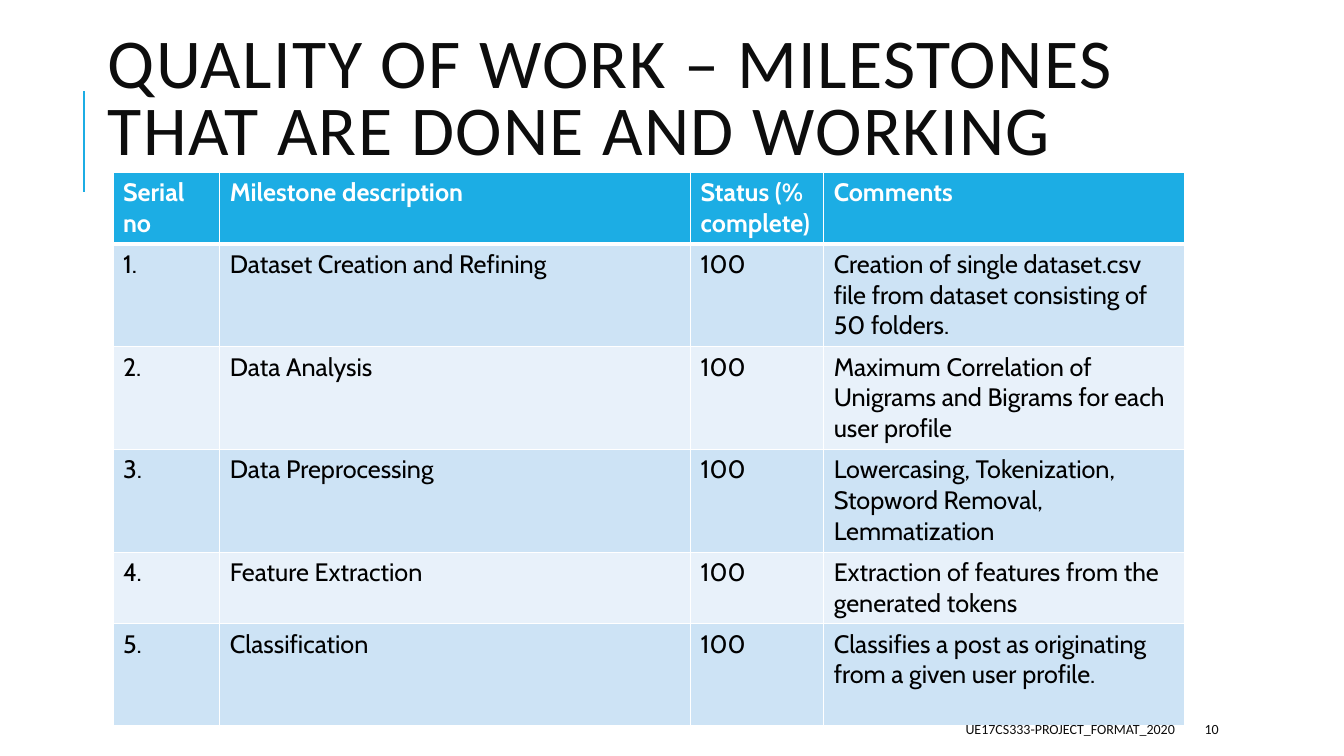
from lxml import etree
from pptx import Presentation
from pptx import util as u
from pptx.dml.color import RGBColor
from pptx.enum import shapes, text
from pptx.oxml import ns

PX = 9144
BLUE, INK, WHITE, BLACK = "1CADE4", "0D0D0D", "FFFFFF", "000000"
BANDS = ["CDE3F5", "E8F1FA"]

TITLE = "QUALITY OF WORK – MILESTONES THAT ARE DONE AND WORKING"
HEADINGS = ["Serial no", "Milestone description", "Status (% complete)", "Comments"]
MILESTONES = [
    ("Dataset Creation and Refining", "100",
     "Creation of single dataset.csv file from dataset consisting of 50 folders."),
    ("Data Analysis", "100",
     "Maximum Correlation of Unigrams and Bigrams for each user profile"),
    ("Data Preprocessing", "100",
     "Lowercasing, Tokenization, Stopword Removal, Lemmatization"),
    ("Feature Extraction", "100", "Extraction of features from the generated tokens"),
    ("Classification", "100",
     "Classifies a post as originating from a given user profile."),
]
COLUMN_WIDTHS = [106, 467, 132, 358]
ROW_HEIGHTS = [71, 102, 102, 102, 71, 101]


def px(*lengths):
    return [u.Emu(length * PX) for length in lengths]


def color(value):
    return RGBColor.from_string(value)


def style(span, name, size, value, bold=False):
    span.font.name = name
    span.font.size = u.Pt(size)
    span.font.bold = bold
    span.font.color.rgb = color(value)


def add_text(page, box, words, size, align=text.PP_ALIGN.LEFT):
    frame = page.shapes.add_textbox(*px(*box)).text_frame
    frame.word_wrap = True
    frame.vertical_anchor = text.MSO_ANCHOR.MIDDLE
    frame.text = words
    para = frame.paragraphs[0]
    para.alignment = align
    style(para.runs[0], "Calibri", size, INK)
    return para


def add_title(page, box):
    left, top, width, height = box
    rule = page.shapes.add_connector(
        shapes.MSO_CONNECTOR.STRAIGHT,
        *px(left - 14, top + 171, left - 14, top + 71))
    rule.line.color.rgb = color(BLUE)
    rule.line.width = u.Pt(1.5)
    etree.SubElement(rule._element.spPr, ns.qn("a:effectLst"))
    para = add_text(page, box, TITLE, 50)
    para.line_spacing = 0.8
    para.runs[0].font._element.set("spc", "100")


def add_borders(cell, bottom):
    properties = cell._tc.get_or_add_tcPr()
    for index, (side, width) in enumerate(
            [("lnL", 1), ("lnR", 1), ("lnT", 1), ("lnB", bottom)]):
        line = etree.Element(ns.qn(f"a:{side}"), w=str(u.Pt(width)))
        fill = etree.SubElement(line, ns.qn("a:solidFill"))
        etree.SubElement(fill, ns.qn("a:srgbClr"), val=WHITE)
        properties.insert(index, line)


def add_milestones(page, box):
    rows = [HEADINGS] + [
        (f"{number}.", *milestone) for number, milestone in enumerate(MILESTONES, 1)]
    table = page.shapes.add_table(len(rows), len(HEADINGS), *px(*box)).table
    for column, width in zip(table.columns, px(*COLUMN_WIDTHS)):
        column.width = width
    for row, height in zip(table.rows, px(*ROW_HEIGHTS)):
        row.height = height
    for row_index, row in enumerate(rows):
        header = row_index == 0
        for column_index, words in enumerate(row):
            cell = table.cell(row_index, column_index)
            cell.text = words
            cell.fill.solid()
            cell.fill.fore_color.rgb = color(BLUE if header else BANDS[(row_index - 1) % 2])
            style(cell.text_frame.paragraphs[0].runs[0], "Cabin", 18,
                  WHITE if header else BLACK, header)
            add_borders(cell, 3 if row_index < 1 else 1)


def add_footer(page, box):
    left, top, width, height = box
    add_text(page, (left, top, 645, height), "UE17CS333-PROJECT_FORMAT_2020", 10,
             text.PP_ALIGN.RIGHT)
    add_text(page, (left + 655, top, width - 655, height), "10", 10)


def main():
    deck = Presentation()
    deck.slide_width, deck.slide_height = px(1333, 750)
    page = deck.slides.add_slide(deck.slide_layouts[6])
    add_title(page, (97, 19, 1063, 164))
    add_milestones(page, (112, 171, sum(COLUMN_WIDTHS), sum(ROW_HEIGHTS)))
    add_footer(page, (530, 708, 761, 30))
    deck.save("out.pptx")


if __name__ == "__main__":
    main()
